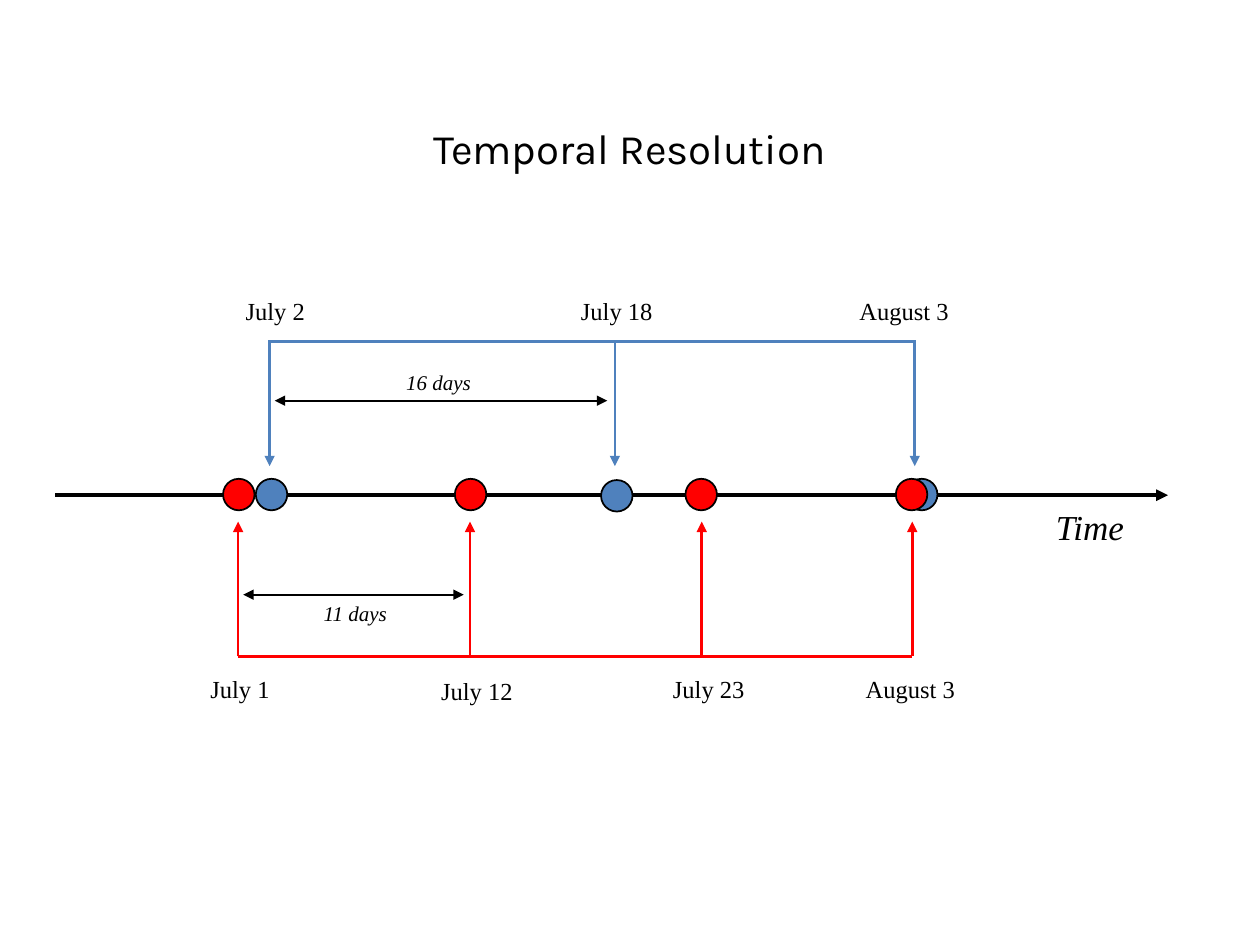
from dataclasses import dataclass
from typing import NamedTuple

from lxml import etree
from pptx import Presentation
from pptx import util as u
from pptx.dml import color as col
from pptx.enum import shapes, text
from pptx.oxml import ns

PX = 9144  # one px is a hundredth of an inch


@dataclass(frozen=True)
class Theme:
    ink: str = "000000"
    blue: str = "4F81BD"
    red: str = "FF0000"
    head: str = "Karla"
    body: str = "Times New Roman"
    title: int = 24
    axis: int = 20
    date: int = 14
    span: int = 12


T = Theme()


class Event(NamedTuple):
    date: str
    x: int      # arrow
    dot: tuple  # left and top of the dot
    label: tuple  # left, top and width of the date


class Track(NamedTuple):
    tone: str
    bar: int
    tip: int
    ends: tuple
    events: tuple
    gap: str
    gap_line: tuple  # x1, x2, y
    gap_text: tuple  # left, top


TRACKS = (
    Track(T.blue, 271, 370, (213, 727), (
        Event("July 2", 214, (203, 380), (185, 230, 67)),
        Event("July 18", 488, (477, 381), (451, 230, 77)),
        Event("August 3", 726, (719, 380), (672, 230, 91)),
    ), "16 days", (218, 482, 318), (312, 288)),
    Track(T.red, 521, 414, (189, 724), (
        Event("July 1", 189, (177, 380), (157, 530, 67)),
        Event("July 12", 373, (361, 380), (340, 532, 77)),
        Event("July 23", 557, (544, 380), (524, 530, 77)),
        Event("August 3", 724, (711, 380), (677, 530, 91)),
    ), "11 days", (193, 368, 472), (246, 472)),
)


def rgb(tone: str) -> col.RGBColor:
    return col.RGBColor.from_string(tone)


def put(item, vals: dict) -> None:
    for key, val in vals.items():
        setattr(item, key, val)


def write(box, words: str, size: int, face: str = T.body,
          slant: bool = False) -> None:
    frame = box.text_frame
    put(frame, {"word_wrap": False, "auto_size": text.MSO_AUTO_SIZE.SHAPE_TO_FIT_TEXT,
                "vertical_anchor": text.MSO_ANCHOR.TOP})
    para = frame.paragraphs[0]
    para.alignment = text.PP_ALIGN.CENTER
    run = para.add_run()
    run.text = words
    put(run.font, {"size": u.Pt(size), "name": face, "italic": slant})
    run.font.color.rgb = rgb(T.ink)


def label(slide, words: str, left: int, top: int, wide: int, high: int,
          size: int, slant: bool = False) -> None:
    box = slide.shapes.add_textbox(*(n * PX for n in (left, top, wide, high)))
    write(box, words, size, slant=slant)


def line(slide, start: tuple, end: tuple, tone: str, width: float,
         tips: tuple = ()) -> None:
    """Draw a line; tips names the ends that carry arrowheads."""
    item = slide.shapes.add_connector(
        shapes.MSO_CONNECTOR.STRAIGHT, *(n * PX for n in start + end))
    item.line.color.rgb = rgb(tone)
    item.line.width = u.Pt(width)
    stroke = item.line._get_or_add_ln()
    for tip in tips:
        etree.SubElement(stroke, ns.qn(f"a:{tip}"), type="triangle")
    etree.SubElement(item._element.spPr, ns.qn("a:effectLst"))


def dot(slide, left: int, top: int, tone: str) -> None:
    item = slide.shapes.add_shape(
        shapes.MSO_SHAPE.OVAL, left * PX, top * PX, 25 * PX, 25 * PX)
    item.shadow.inherit = False
    item.fill.solid()
    item.fill.fore_color.rgb = rgb(tone)
    item.line.color.rgb = rgb(T.ink)
    item.line.width = u.Pt(1)


def draw(slide, track: Track) -> None:
    """Draw the bracket, dates and interval of one track."""
    for event in track.events:
        line(slide, (event.x, track.bar), (event.x, track.tip), track.tone,
             1.5, ("tailEnd",))
        label(slide, event.date, *event.label, 33, T.date)
    left, right = track.ends
    line(slide, (left, track.bar), (right, track.bar), track.tone, 1.5)
    left, right, y = track.gap_line
    line(slide, (left, y), (right, y), T.ink, 1, ("headEnd", "tailEnd"))
    label(slide, track.gap, *track.gap_text, 72, 30, T.span, True)


def main() -> None:
    deck = Presentation()
    put(deck, {"slide_width": 1000 * PX, "slide_height": 750 * PX})
    slide = deck.slides.add_slide(deck.slide_layouts[5])
    title = slide.shapes.title
    put(title, {"left": 333 * PX, "top": 92 * PX,
                "width": 333 * PX, "height": 50 * PX})
    write(title, "Temporal Resolution", T.title, T.head)

    line(slide, (44, 393), (927, 393), T.ink, 2.25, ("tailEnd",))
    label(slide, "Time", 827, 396, 76, 43, T.axis, True)
    for track in TRACKS:
        for event in track.events:
            dot(slide, *event.dot, track.tone)
    for track in TRACKS:
        draw(slide, track)
    deck.save("out.pptx")


if __name__ == "__main__":
    main()
